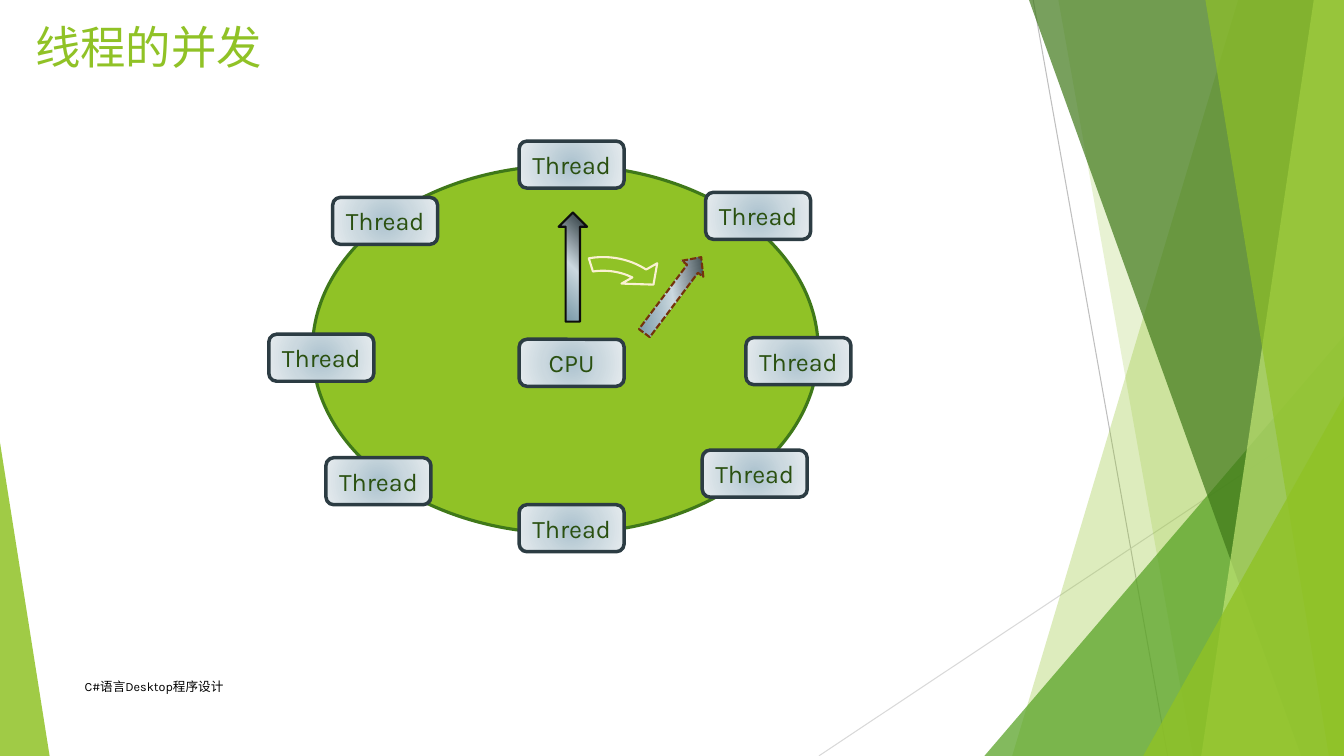
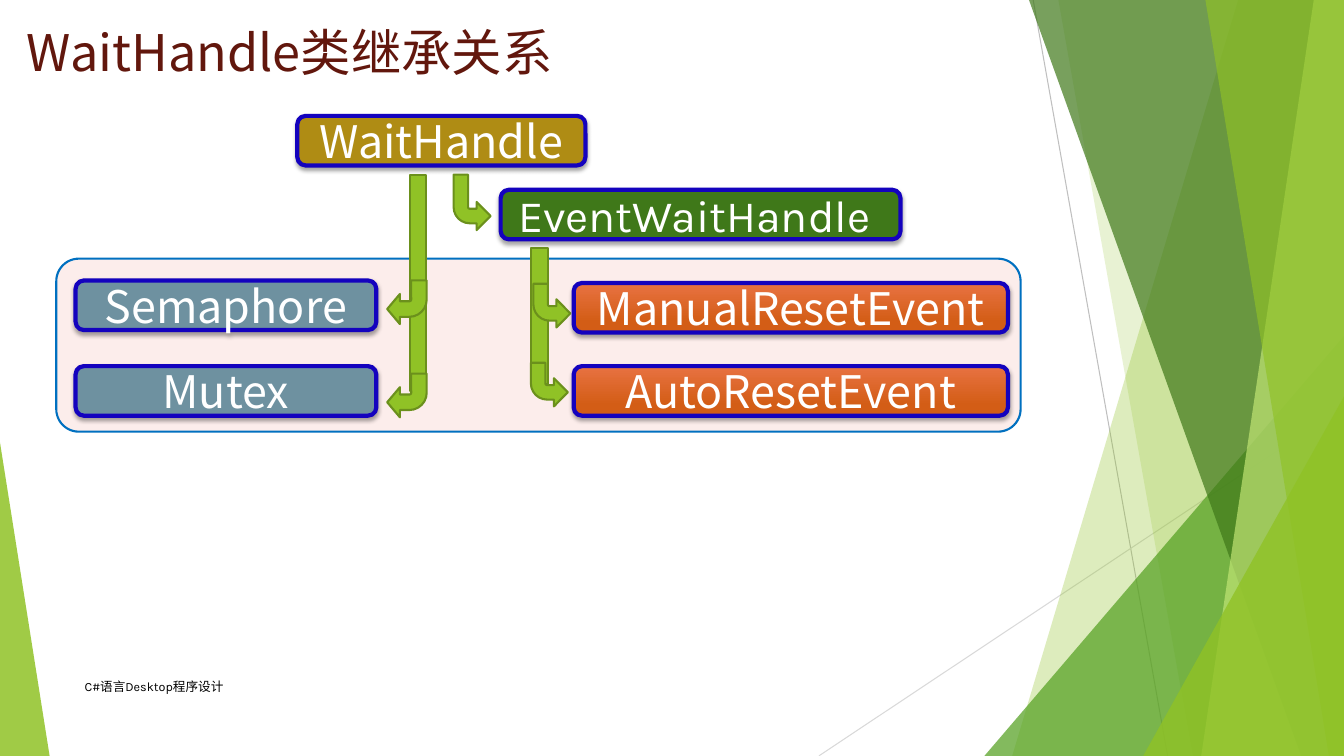
import pptx
import pptx.dml.color
import pptx.enum.dml
import pptx.enum.shapes
import pptx.enum.text
import pptx.oxml
import pptx.oxml.ns
import pptx.util
from lxml import etree

RGB = pptx.dml.color.RGBColor
KIND = pptx.enum.shapes.MSO_SHAPE
ALIGN = pptx.enum.text.PP_ALIGN
ANCHOR = pptx.enum.text.MSO_ANCHOR
Pt = pptx.util.Pt
qn = pptx.oxml.ns.qn

# Colours
LIME = RGB(0x90, 0xC2, 0x26)
LIME_EDGE = RGB(0x6B, 0x90, 0x1C)
PALE_LIME = RGB(0xC0, 0xE4, 0x74)
GREEN = RGB(0x54, 0xA0, 0x21)
FOREST = RGB(0x3F, 0x78, 0x19)
DEEP_GREEN = RGB(0x2A, 0x50, 0x10)
MAROON = RGB(0x62, 0x17, 0x0D)
BROWN = RGB(0x74, 0x33, 0x0C)
CREAM = RGB(0xFA, 0xF1, 0xD2)
SLATE = RGB(0x2C, 0x3C, 0x43)
STEEL = RGB(0x6E, 0x91, 0xA0)
MIST = RGB(0xCB, 0xD8, 0xDF)
INK = RGB(0x21, 0x2D, 0x32)
GOLD = RGB(0xAF, 0x8C, 0x14)
INDIGO = RGB(0x14, 0x02, 0xBE)
BLUE = RGB(0x00, 0x70, 0xC0)
SALMON = RGB(0xEB, 0x77, 0x66)
BLACK = RGB(0, 0, 0)
NEAR_BLACK = RGB(0x0D, 0x0D, 0x0D)
WHITE = RGB(0xFF, 0xFF, 0xFF)
GREYS = RGB(0xBF, 0xBF, 0xBF), RGB(0xD9, 0xD9, 0xD9)

# Gradients: stops, then the direction
GLOW = ({0: RGB(0xAB, 0xC2, 0xCE), 50: MIST, 100: RGB(0xE6, 0xEC, 0xEF)},
        '<a:path path="circle"><a:fillToRect l="50000" t="50000" r="50000" b="50000"/></a:path>')
METAL = {0: STEEL, 50: MIST, 100: INK}, '<a:lin ang="18900000" scaled="1"/>'
EMBER = ({0: RGB(0xE8, 0x72, 0x42), 78: RGB(0xD3, 0x5D, 0x16)},
         '<a:lin ang="5400000" scaled="0"/>')

# Text styles
SANS = "Noto Sans CJK SC"
FOOTER = {"name": "Karla", "size": Pt(9)}
THREAD = {"name": "Karla", "size": Pt(18)}
CLASS = {"name": SANS, "size": Pt(32)}
CENTRED = {"vertical_anchor": ANCHOR.MIDDLE}

# Grid of 160 columns and 90 rows of square cells
deck = pptx.Presentation()
deck.slide_width = pptx.util.Inches(13.33)
deck.slide_height = pptx.util.Inches(7.5)
COLUMNS, ROWS = 160, 90
CELL = deck.slide_width / COLUMNS


def draw(slide, kind, cells, fill, opacity=100, line=None, width=1.5, adjust=(),
         flips=(), shadow=False):
    """Draw a preset shape, or a full-height band when kind is None."""
    emu = [round(CELL * n) for n in cells]
    if kind is None:
        top, bottom = emu
        band = slide.shapes.build_freeform(top, 0)
        band.add_line_segments([(deck.slide_width, 0),
                                (deck.slide_width, deck.slide_height),
                                (bottom, deck.slide_height)])
        shape = band.convert_to_shape()
    else:
        shape = slide.shapes.add_shape(kind, *emu)
    for i, value in enumerate(adjust):
        shape.adjustments[i] = value
    properties = shape._element.spPr
    for flip in flips:
        properties.find(qn("a:xfrm")).set(flip, "1")
    if isinstance(fill, RGB):
        shape.fill.solid()
        shape.fill.fore_color.rgb = fill
        if opacity < 100:
            tint = properties.find(qn("a:solidFill"))[0]
            etree.SubElement(tint, qn("a:alpha"), val=str(opacity * 1000))
    else:
        stops, direction = fill
        marks = "".join(f'<a:gs pos="{at * 1000}"><a:srgbClr val="{colour}"/></a:gs>'
                        for at, colour in stops.items())
        shape.fill.background()
        properties.replace(properties.find(qn("a:noFill")), pptx.oxml.parse_xml(
            f'<a:gradFill {pptx.oxml.ns.nsdecls("a")} rotWithShape="1">'
            f'<a:gsLst>{marks}</a:gsLst>{direction}</a:gradFill>'))
    if line is None:
        shape.line.fill.background()
    else:
        shape.line.color.rgb = line
        shape.line.width = Pt(width)
    shape.shadow.inherit = False
    if shadow:
        properties.find(qn("a:effectLst")).append(pptx.oxml.parse_xml(
            f'<a:outerShdw {pptx.oxml.ns.nsdecls("a")} blurRad="38100" dist="25400" '
            'dir="5400000" rotWithShape="0"><a:srgbClr val="000000">'
            '<a:alpha val="35000"/></a:srgbClr></a:outerShdw>'))
    return shape


def write(shape, text, style, colour, align=ALIGN.CENTER, spacing=1.0, frame=CENTRED):
    """Put one styled paragraph into a shape."""
    box = shape.text_frame
    box.word_wrap = True
    for name, value in frame.items():
        setattr(box, name, value)
    paragraph = box.paragraphs[0]
    paragraph.alignment = align
    paragraph.line_spacing = spacing
    run = paragraph.add_run()
    run.text = text
    for name, value in style.items():
        setattr(run.font, name, value)
    run.font.color.rgb = colour
    etree.SubElement(run._r.get_or_add_rPr(), qn("a:ea"), typeface=SANS)


# Shared decoration, title and footer
rays = [(123, 0, 139, ROWS), (COLUMNS, 48.4, 97.5, ROWS)]
facets = [
    (None, (147.4, 120.5), LIME, 30, ()),
    (None, (126, 142), LIME, 20, ()),
    (KIND.ISOSCELES_TRIANGLE, (117.2, 40, 42.8, 50), GREEN, 72, (1,)),
    (None, (122.5, 154.9), FOREST, 70, ()),
    (None, (156.4, 143), PALE_LIME, 70, ()),
    (None, (143.5, 158.2), LIME, 65, ()),
    (KIND.ISOSCELES_TRIANGLE, (136.1, 47.2, 23.9, 42.8), LIME, 80, (1,)),
    (KIND.ISOSCELES_TRIANGLE, (0, 52.7, 5.9, 37.3), LIME, 85, (0,)),
]
titles = [
    ("线程的并发", (3, 2.4, 30.2, 9.6), {"name": "Karla", "size": Pt(32.4)}, LIME),
    ("WaitHandle类继承关系", (2, 2.8, 71.9, 8.4), {"name": SANS, "size": Pt(36)}, MAROON),
]
slides = []
for title, title_cells, title_style, title_colour in titles:
    slide = deck.slides.add_slide(deck.slide_layouts[6])
    slides.append(slide)
    for ends, grey in zip(rays, GREYS):
        ray = slide.shapes.add_connector(pptx.enum.shapes.MSO_CONNECTOR.STRAIGHT,
                                         *[round(CELL * n) for n in ends])
        ray.line.color.rgb = grey
        ray.line.width = Pt(0.75)
        etree.SubElement(ray._element.spPr, qn("a:effectLst"))
    for kind, cells, colour, opacity, adjust in facets:
        draw(slide, kind, cells, colour, opacity, adjust=adjust)
    heading = slide.shapes.add_textbox(*[round(CELL * n) for n in title_cells])
    write(heading, title, title_style, title_colour, ALIGN.LEFT, 0.9, {})
    footer = slide.shapes.add_textbox(*[round(CELL * n) for n in (8.9, 79.3, 82.7, 4.8)])
    write(footer, "C#语言Desktop程序设计", FOOTER, BLACK, ALIGN.LEFT)
concurrency, inheritance = slides

# Slide 1: the ring, the CPU hand and its next position
draw(concurrency, KIND.OVAL, (37.2, 19.7, 60.2, 43.8), LIME, line=FOREST, width=2.25)
draw(concurrency, KIND.UP_ARROW, (66.5, 25.3, 3.4, 13), METAL, line=NEAR_BLACK)
next_hand = draw(concurrency, KIND.UP_ARROW, (78.5, 29.5, 3.2, 11.3), METAL,
                 line=BROWN, adjust=(0.5, 0.54))
next_hand.rotation = 36.8
next_hand.line.dash_style = pptx.enum.dml.MSO_LINE.SQUARE_DOT
switch = draw(concurrency, KIND.CIRCULAR_ARROW, (62.5, 29, 19.2, 16.3), LIME, line=CREAM,
              adjust=(0.1, 11.475, 183.419, 148.226, 0.15))
switch.rotation = 5.5

# Slide 1: threads clockwise from the top, around the CPU
threads = [(61.8, 16.8), (84, 22.9), (88.8, 40.2), (83.6, 53.6),
           (61.8, 60.1), (38.8, 54.5), (32, 39.8), (39.6, 23.5)]
for label, corner in [("CPU", (61.8, 40.4))] + [("Thread", spot) for spot in threads]:
    node = draw(concurrency, KIND.ROUNDED_RECTANGLE, (*corner, 12.5, 5.6), GLOW,
                line=SLATE, width=2.5)
    write(node, label, THREAD, DEEP_GREEN)

# Slide 2: panel behind the derived classes
draw(inheritance, KIND.ROUNDED_RECTANGLE, (6.7, 30.8, 114.8, 20.6), SALMON, 13,
     line=BLUE, adjust=(0.13,))

# Slide 2: classes as left, top, width
classes = [
    ("WaitHandle", (35.4, 13.8, 34.3), GOLD),
    ("EventWaitHandle", (59.6, 22.6, 47.6), FOREST),
    ("ManualResetEvent", (68.3, 33.7, 51.7), EMBER),
    ("Semaphore", (9, 33.4, 35.8), STEEL),
    ("Mutex", (9, 43.6, 35.8), STEEL),
    ("AutoResetEvent", (68.3, 43.6, 51.7), EMBER),
]
for name, place, fill in classes:
    box = draw(inheritance, KIND.ROUNDED_RECTANGLE, (*place, 5.9), fill,
               line=INDIGO, width=3, shadow=True)
    if name == "EventWaitHandle":
        write(box, name, {**CLASS, "name": "Karla"}, WHITE,
              frame={**CENTRED, "margin_right": pptx.util.Inches(0.22)})
    else:
        write(box, name, CLASS, WHITE)

# Slide 2: trunks, then the branches that turn left or right
for trunk in [(48.8, 20.8, 1.9, 25.8), (63.2, 29.5, 2, 16.2)]:
    draw(inheritance, KIND.RECTANGLE, trunk, LIME, line=LIME_EDGE)
LEFT = {"flips": ("flipH", "flipV"), "adjust": (0.393, 0.381, 0.321, 0.438)}
RIGHT = {"flips": ("flipV",), "adjust": (0.393, 0.381, 0.376, 0.438)}
branches = [
    ((46.1, 44.5, 4.7, 5.2), LEFT),
    ((54, 20.8, 4.4, 6.6), RIGHT),
    ((63.5, 33.8, 4.4, 5.2), RIGHT),
    ((63.2, 43.2, 4.4, 5.2), RIGHT),
    ((46.1, 33.4, 4.7, 5.2), LEFT),
]
for cells, turn in branches:
    draw(inheritance, KIND.BENT_ARROW, cells, LIME, line=LIME_EDGE, **turn)

deck.save("out.pptx")
